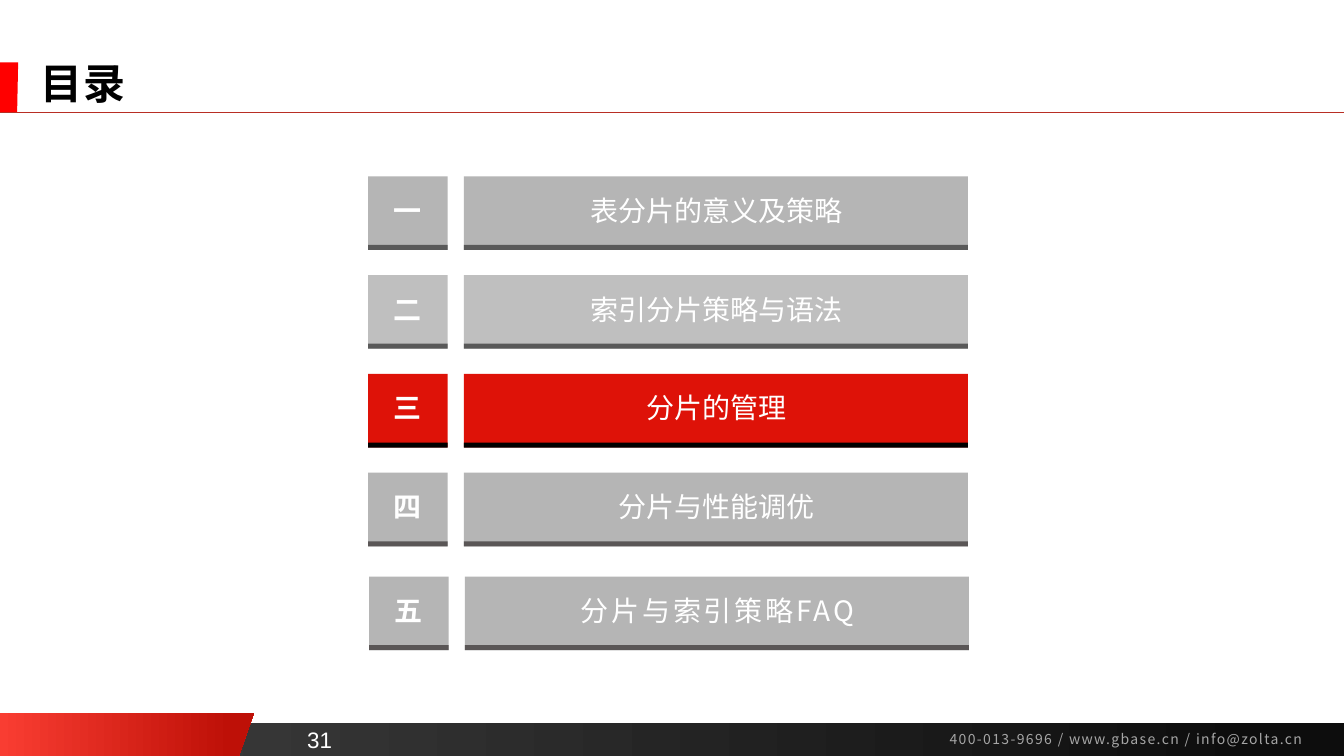
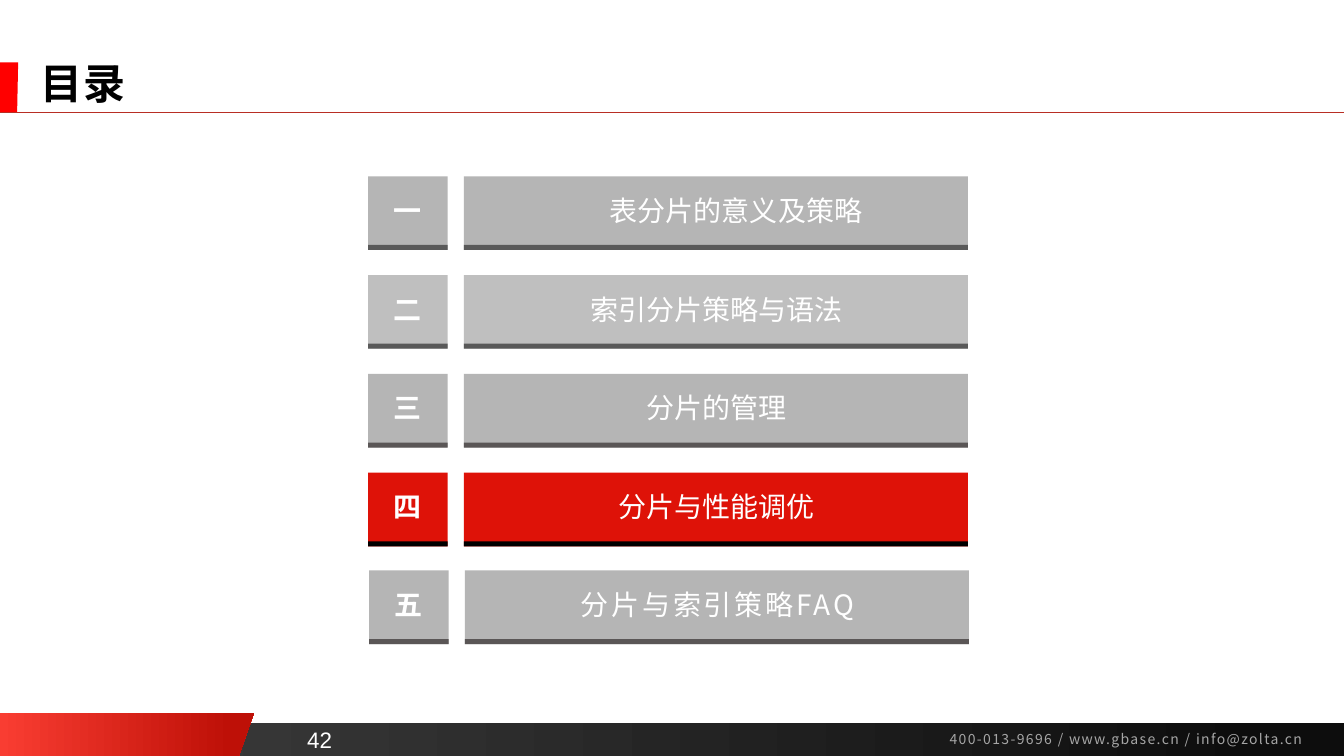
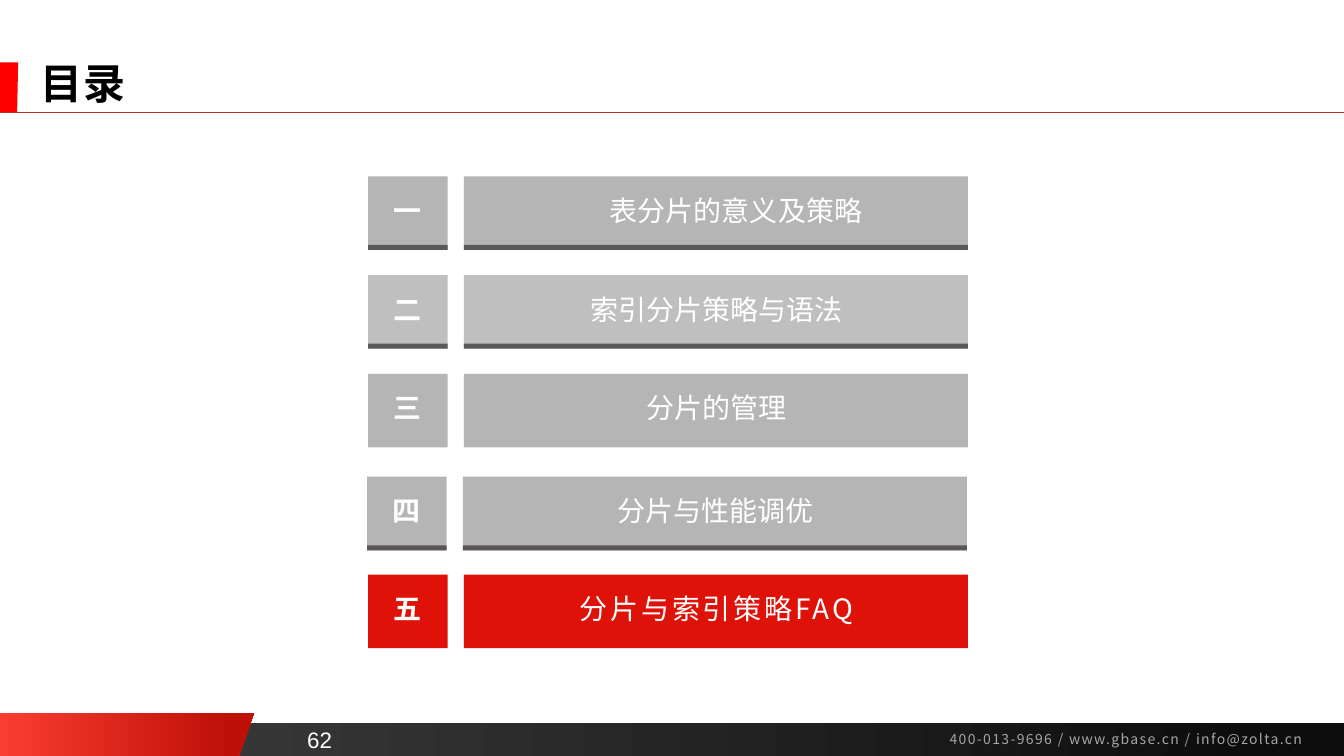
from pptx import Presentation
from pptx.dml.color import RGBColor
from pptx.enum.shapes import MSO_CONNECTOR, MSO_SHAPE
from pptx.enum.text import MSO_ANCHOR, PP_ALIGN
from pptx.oxml.ns import qn
from pptx.util import Inches, Pt
from lxml.etree import SubElement

WHITE = RGBColor(0xFF, 0xFF, 0xFF)
BLACK = RGBColor(0x00, 0x00, 0x00)
RED = RGBColor(0xFF, 0x00, 0x00)
ACTIVE = RGBColor(0xDE, 0x12, 0x08)
GREY = RGBColor(0xB5, 0xB5, 0xB5)
PALE = RGBColor(0xBF, 0xBF, 0xBF)
DARK = RGBColor(0x59, 0x59, 0x59)
WARM = RGBColor(0x5A, 0x56, 0x56)
RULE = RGBColor(0xB8, 0x2E, 0x24)
MUTED = RGBColor(0xA6, 0xA6, 0xA6)
BAND = (RGBColor(0x40, 0x40, 0x40), RGBColor(0x0D, 0x0D, 0x0D), 0.94)
WEDGE = (RGBColor(0xF9, 0x3D, 0x32), RGBColor(0xBE, 0x10, 0x07), 0.91)

SANS = "Noto Sans CJK SC"
WIDE, HIGH = 13.33, 7.5
COLS = ((3.65, 0.79), (4.6, 5))
TOP, PITCH, TALL, STRIP = 1.75, 0.98, 0.73, 0.05

ITEMS = (
    ("一", "表分片的意义及策略", GREY, DARK),
    ("二", "索引分片策略与语法", PALE, DARK),
    ("三", "分片的管理", GREY, WARM),
    ("四", "分片与性能调优", GREY, WARM),
    ("五", "分片与索引策略FAQ", GREY, WARM),
)
PAGES = (
    ("31", 2, 0, {4: (0.01, 0.05)}, ()),
    ("42", 3, 0.39, {4: (0.01, -0.01)}, ()),
    ("62", 4, 0.39, {3: (-0.01, 0.04), 4: (0, 0.03)}, (2, 4)),
)


def paint(shape, color):
    shape.shadow.inherit = False
    shape.line.fill.background()
    if isinstance(color, RGBColor):
        shape.fill.solid()
        shape.fill.fore_color.rgb = color
    else:
        shape.fill.gradient()
        shape.fill.gradient_angle = 0
        first, last = shape.fill.gradient_stops
        first.color.rgb, last.color.rgb, last.position = color


def write(slide, box, text, size, color, bold=False, face=SANS, space=0,
          align=PP_ALIGN.LEFT, anchor=MSO_ANCHOR.TOP, wrap=True):
    frame = slide.shapes.add_textbox(*map(Inches, box)).text_frame
    frame.word_wrap = wrap
    frame.vertical_anchor = anchor
    para = frame.paragraphs[0]
    para.text = text
    para.alignment = align
    font = para.font
    font.size, font.bold, font.name = Pt(size), bold, face
    font.color.rgb = color
    props = para._p.get_or_add_pPr().find(qn("a:defRPr"))
    SubElement(props, qn("a:ea")).set("typeface", face)
    if space:
        props.set("spc", str(space * 100))
    return para


deck = Presentation()
deck.slide_width, deck.slide_height = Inches(WIDE), Inches(HIGH)

for page, active, indent, moves, plain in PAGES:
    slide = deck.slides.add_slide(deck.slide_layouts[6])
    shapes = slide.shapes

    band = shapes.add_shape(MSO_SHAPE.RECTANGLE, 0, Inches(7.17), Inches(WIDE), Inches(0.33))
    paint(band, BAND)
    for top, base, upper, lower, color in (
        (7.07, HIGH, 2.52, 2.37, WEDGE),
        (0.62, 1.12, 0.18, 0.17, RED),
    ):
        form = shapes.build_freeform(0, Inches(top))
        form.add_line_segments(
            [(Inches(x), Inches(y)) for x, y in ((upper, top), (lower, base), (0, base))])
        paint(form.convert_to_shape(), color)

    rule = shapes.add_connector(
        MSO_CONNECTOR.STRAIGHT, 0, Inches(1.11), Inches(WIDE), Inches(1.11))
    rule.line.color.rgb = RULE
    rule.line.width = Pt(0.5)
    SubElement(rule._element.spPr, qn("a:effectLst"))

    write(slide, (9.32, 7.2, 3.99, 0.27), "400-013-9696 / www.gbase.cn / info@zolta.cn",
          10, MUTED, space=1)
    write(slide, (2.9, 7.15, 0.54, 0.37), page, 16, WHITE, face="Arial",
          align=PP_ALIGN.CENTER, anchor=MSO_ANCHOR.BOTTOM, wrap=False)
    title = write(slide, (0.3, 0.59, 12.26, 0.53), "目录", 30, BLACK, bold=True, space=1,
                  anchor=MSO_ANCHOR.MIDDLE)
    title.line_spacing = 0.9

    for row, (mark, label, fill, edge) in enumerate(ITEMS):
        right, down = moves.get(row, (0, 0))
        top = TOP + PITCH * row + down
        if row == active:
            fill, edge = ACTIVE, BLACK
        parts = [(top, TALL, fill)]
        if row not in plain:
            parts.append((top + TALL - STRIP, STRIP, edge))
        for left, width in COLS:
            for y, tall, color in parts:
                bar = shapes.add_shape(
                    MSO_SHAPE.RECTANGLE, *map(Inches, (left + right, y, width, tall)))
                paint(bar, color)
        write(slide, (3.8 + right, top + 0.12, 0.48, 0.44), mark, 20, WHITE, bold=True,
              wrap=False)
        para = write(slide, (4.79 + right, top + 0.12, 4.63, 0.44), label, 20, WHITE,
                     space=2 if row == 4 else 0, align=PP_ALIGN.CENTER)
        if row == 0 and indent:
            para._p.get_or_add_pPr().set("marL", str(Inches(indent)))

deck.save("out.pptx")
